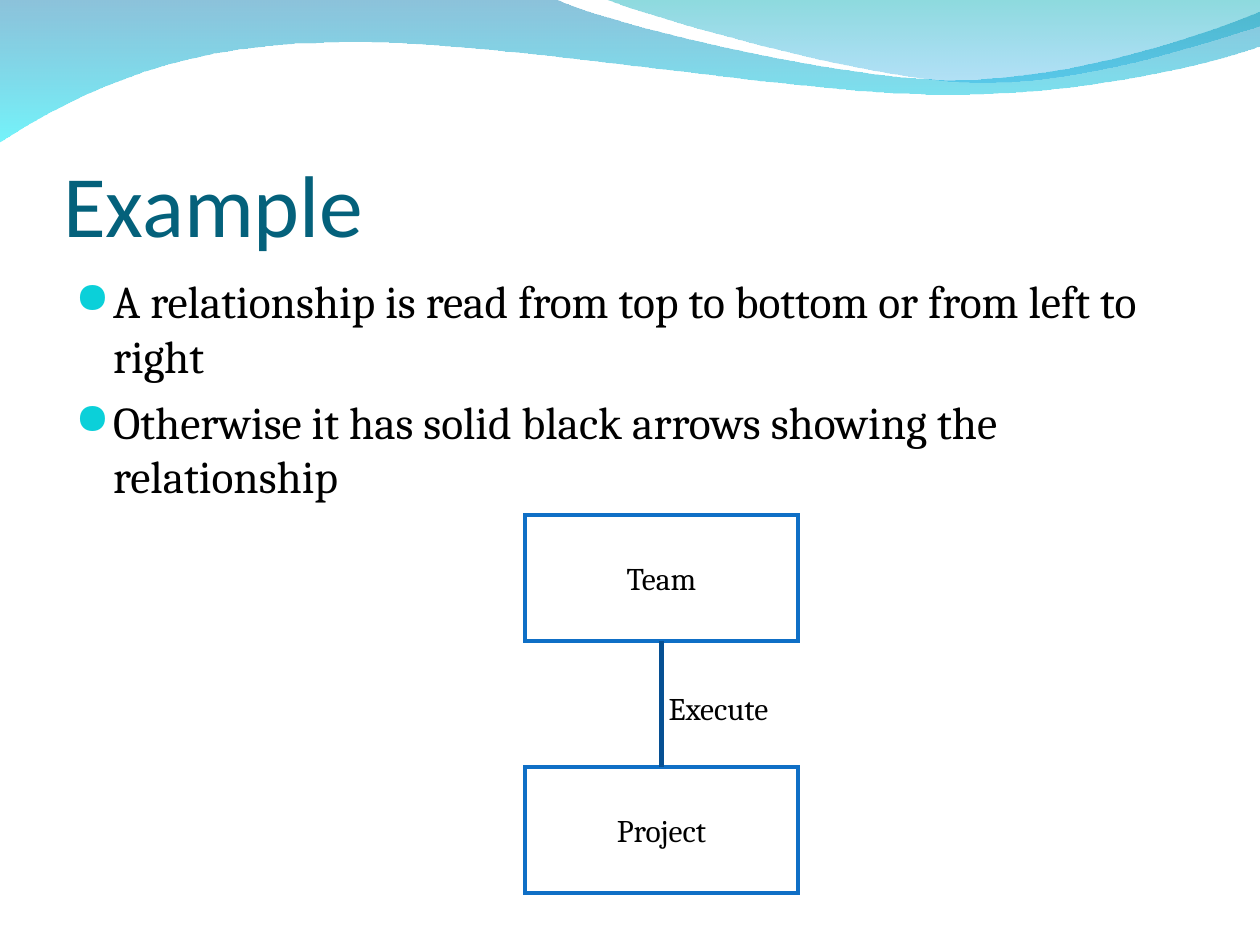
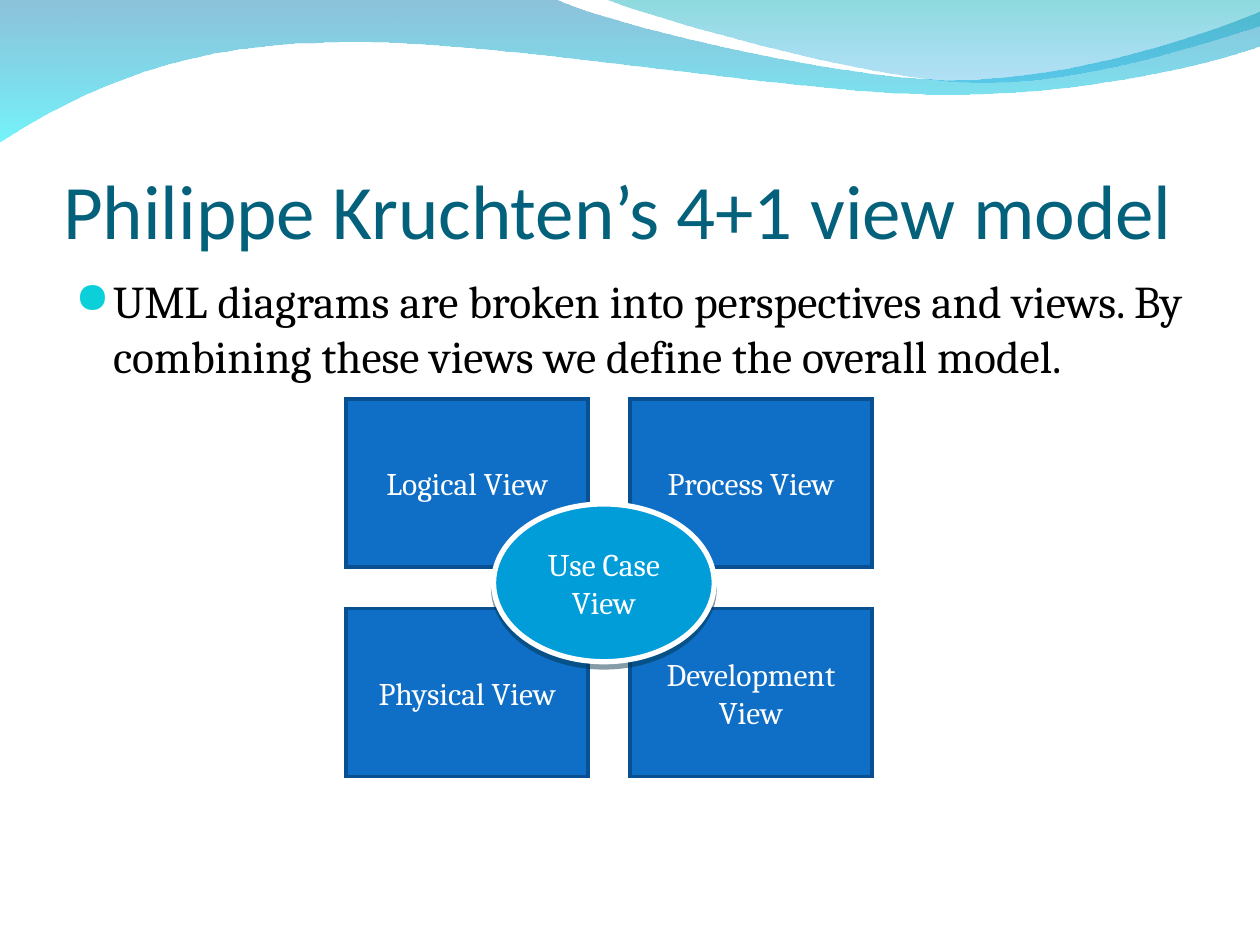
from dataclasses import dataclass

from lxml import etree
from pptx import Presentation
from pptx.dml.color import RGBColor
from pptx.enum import shapes, text
from pptx.oxml import ns
from pptx.util import Cm, Pt


@dataclass(frozen=True)
class Theme:
    heading_font: str = "Calibri"
    body_font: str = "Cambria"
    bullet_font: str = "OpenSymbol"
    title: str = "04617B"
    ink: str = "000000"
    paper: str = "FFFFFF"
    bullet: str = "0BD0D9"
    blue: str = "0F6FC6"
    blue_edge: str = "085091"
    link: str = "065093"
    centre: str = "009DD9"
    shadow: str = "003148"
    body_size: int = 26
    label_size: int = 18


THEME = Theme()

# Content; lengths are in centimetres.
EXAMPLE = {
    "title": ("Example", 50),
    "points": ["A relationship is read from top to bottom or from left to right",
               "Otherwise it has solid black arrows showing the relationship"],
    "entities": ["Team", "Project"],
    "relationship": "Execute",
}
VIEW_MODEL = {
    "title": ("Philippe Kruchten’s 4+1 view model", 44),
    "points": ["UML diagrams are broken into perspectives and views. "
               "By combining these views we define the overall model."],
    "views": [["Logical View", "Process View"],
              ["Physical View", "Development View"]],
    "centre": "Use Case View",
}

# Each step is a line (one point) or a cubic curve (two controls and an end).
# Gradient stops are colour and opacity in percent, top to bottom.
WAVES = [
    {"start": (0, -0.03),
     "steps": [[(11.18, -0.03)],
               [(12.09, 0.43), (16.87, 1.6), (19.25, 1.6)],
               [(21.67, 1.6), (24.33, 0.66), (25.4, 0.23)],
               [(25.43, 0.91)],
               [(24.97, 1.12), (22.1, 1.93), (18.95, 1.9)],
               [(15.8, 1.9), (9.7, 0.71), (6.53, 0.86)],
               [(3.28, 0.89), (1.17, 2.11), (-0.03, 2.87)]],
     "stops": [("0079AF", 45), ("00EBF8", 55)]},
    {"start": (12.17, -0.03),
     "steps": [[(12.93, 0.28), (17.32, 1.57), (19.53, 1.65)],
               [(21.74, 1.75), (24.41, 0.81), (25.4, 0.53)],
               [(25.4, 0)]],
     "stops": [("00ADB6", 45), ("009BE5", 30)]},
]
TITLE_AREA = (1.27, 1.96, 22.86, 3.18)
BODY_AREA = (1.27, 5.38, 22.86, 12.19)
ENTITY_AREA, ENTITY_PITCH = (10.58, 10.38, 5.51, 2.54), 5.08
RELATIONSHIP_AREA = (13.23, 13.77, 2.9, 1.02)
VIEW_AREA, VIEW_PITCH = (6.98, 8.04, 4.88, 3.39), (5.72, 4.23)
CENTRE_AREA = (9.95, 10.16, 4.45, 3.18)


def apply(target, values):
    for name, value in values.items():
        setattr(target, name, value)


def add_xml(parent, tag, **attributes):
    return etree.SubElement(parent, ns.qn(tag), attributes)


def lengths(area):
    return [Cm(value) for value in area]


def write(para, words, size, colour, font=THEME.body_font):
    span = para.add_run()
    span.text = words
    apply(span.font, {"name": font, "size": Pt(size)})
    span.font.color.rgb = RGBColor.from_string(colour)


def bend(shape, steps):
    """Turn each run of three line segments that stands for a curve into one."""
    segments = iter(list(shape.element.iter(ns.qn("a:lnTo"))))
    for step in steps:
        group = [next(segments) for _ in step]
        if len(group) == 1:
            continue
        curve = etree.Element(ns.qn("a:cubicBezTo"))
        group[0].addprevious(curve)
        for segment in group:
            curve.append(segment[0])
            segment.getparent().remove(segment)


def add_wave(page, wave):
    builder = page.shapes.build_freeform(*lengths(wave["start"]))
    builder.add_line_segments(
        [lengths(point) for step in wave["steps"] for point in step], close=True)
    shape = builder.convert_to_shape()
    bend(shape, wave["steps"])
    shape.shadow.inherit = False
    shape.line.fill.background()
    shape.fill.gradient()
    shape.fill.gradient_angle = 270
    for stop, position, (colour, _) in zip(shape.fill.gradient_stops, (0, 1), wave["stops"]):
        stop.position = position
        stop.color.rgb = RGBColor.from_string(colour)
    tones = shape.element.spPr.iter(ns.qn("a:srgbClr"))
    for tone, (_, opacity) in zip(tones, wave["stops"]):
        add_xml(tone, "a:alpha", val=str(opacity * 1000))
    return shape


def share_waves(page, master):
    """Draw the waves once and move them behind the master's placeholders."""
    for index, wave in enumerate(WAVES):
        master.shapes.element.insert(2 + index, add_wave(page, wave).element)


def add_title(page, words, size):
    box = page.shapes.title
    apply(box, dict(zip(("left", "top", "width", "height"), lengths(TITLE_AREA))))
    frame = box.text_frame
    apply(frame, {"margin_left": 0, "margin_right": 0, "margin_bottom": 0,
                  "margin_top": Cm(0.13), "word_wrap": True,
                  "auto_size": text.MSO_AUTO_SIZE.NONE,
                  "vertical_anchor": text.MSO_ANCHOR.BOTTOM})
    para = frame.paragraphs[0]
    para.alignment = text.PP_ALIGN.LEFT
    write(para, words, size, THEME.title, THEME.heading_font)


def add_points(page, points):
    frame = page.shapes.add_textbox(*lengths(BODY_AREA)).text_frame
    frame.word_wrap = True
    for index, words in enumerate(points):
        para = frame.add_paragraph() if index else frame.paragraphs[0]
        para.space_before = Pt(6.5)
        write(para, words, THEME.body_size, THEME.ink)
        layout = para._p.get_or_add_pPr()
        indent = Cm(0.76)
        layout.set("marL", str(indent))
        layout.set("indent", str(-indent))
        add_xml(add_xml(layout, "a:buClr"), "a:srgbClr", val=THEME.bullet)
        add_xml(layout, "a:buSzPct", val="95000")
        add_xml(layout, "a:buFont", typeface=THEME.bullet_font)
        add_xml(layout, "a:buChar", char="●")


def add_box(page, words, area, fill, edge, ink, kind="RECTANGLE", edge_width=2):
    box = page.shapes.add_shape(shapes.MSO_SHAPE[kind], *lengths(area))
    box.shadow.inherit = False
    box.fill.solid()
    box.fill.fore_color.rgb = RGBColor.from_string(fill)
    box.line.color.rgb = RGBColor.from_string(edge)
    box.line.width = Pt(edge_width)
    add_xml(box.element.spPr.find(ns.qn("a:ln")), "a:miter", lim="800000")
    apply(box.text_frame, {"word_wrap": True, "vertical_anchor": text.MSO_ANCHOR.MIDDLE})
    para = box.text_frame.paragraphs[0]
    para.alignment = text.PP_ALIGN.CENTER
    write(para, words, THEME.label_size, ink)
    return box


def drop_shadow(box):
    effects = box.element.spPr.find(ns.qn("a:effectLst"))
    shadow = add_xml(effects, "a:outerShdw", blurRad="0", dist=str(Pt(3)),
                     dir="5400000", rotWithShape="0")
    tone = add_xml(shadow, "a:srgbClr", val=THEME.shadow)
    add_xml(tone, "a:alpha", val="48000")


def add_link(page, upper, lower):
    link = page.shapes.add_connector(shapes.MSO_CONNECTOR.STRAIGHT, 0, 0, 0, 0)
    link.begin_connect(upper, 2)
    link.end_connect(lower, 0)
    link.line.color.rgb = RGBColor.from_string(THEME.link)
    link.line.width = Pt(3)
    add_xml(link.element.spPr, "a:effectLst")


def draw_example(page):
    left, top, width, height = ENTITY_AREA
    upper, lower = [
        add_box(page, words, (left, top + row * ENTITY_PITCH, width, height),
                THEME.paper, THEME.blue, THEME.ink)
        for row, words in enumerate(EXAMPLE["entities"])]
    add_link(page, upper, lower)
    frame = page.shapes.add_textbox(*lengths(RELATIONSHIP_AREA)).text_frame
    frame.word_wrap = False
    write(frame.paragraphs[0], EXAMPLE["relationship"], THEME.label_size, THEME.ink)


def draw_view_model(page):
    left, top, width, height = VIEW_AREA
    across, down = VIEW_PITCH
    for row, views in enumerate(VIEW_MODEL["views"]):
        for column, words in enumerate(views):
            area = (left + column * across, top + row * down, width, height)
            add_box(page, words, area, THEME.blue, THEME.blue_edge, THEME.paper)
    drop_shadow(add_box(page, VIEW_MODEL["centre"], CENTRE_AREA, THEME.centre,
                        THEME.paper, THEME.paper, "OVAL", 3))


def main():
    deck = Presentation()
    deck.slide_width, deck.slide_height = Cm(25.4), Cm(19.05)
    layout = deck.slide_layouts.get_by_name("Title Only")
    for content, draw in ((EXAMPLE, draw_example), (VIEW_MODEL, draw_view_model)):
        page = deck.slides.add_slide(layout)
        if len(deck.slides) == 1:
            share_waves(page, deck.slide_master)
        add_title(page, *content["title"])
        add_points(page, content["points"])
        draw(page)
    deck.save("out.pptx")


if __name__ == "__main__":
    main()
